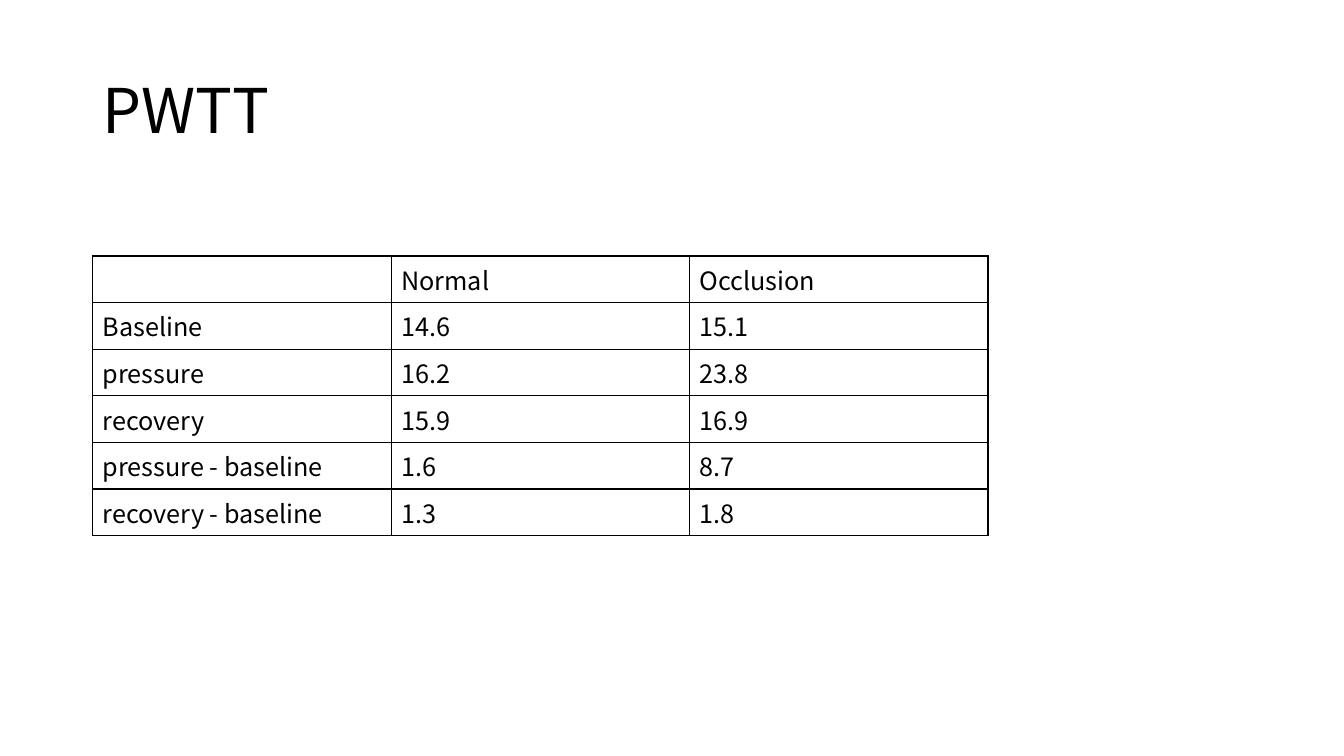
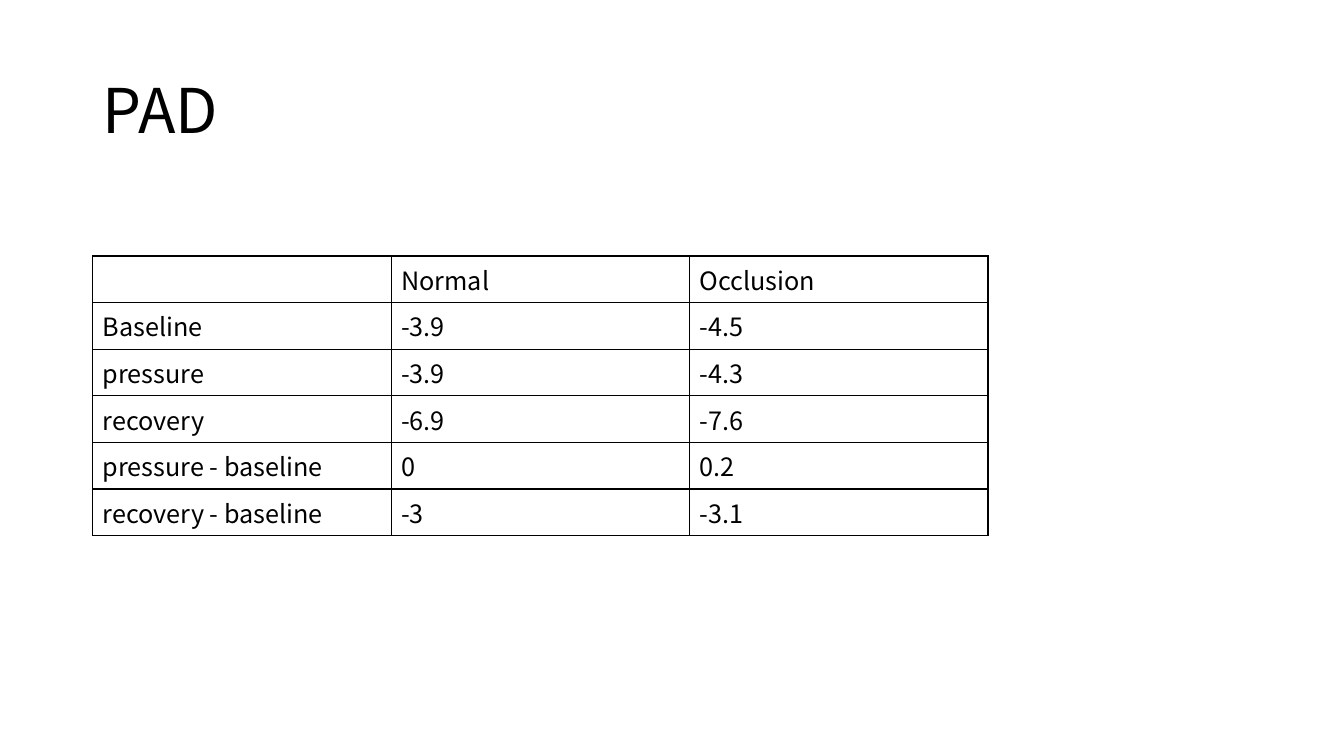
import pptx
import pptx.util
import pptx.dml.color
import pptx.enum.text
import pptx.oxml
import pptx.oxml.ns

Inches, Pt = pptx.util.Inches, pptx.util.Pt
BLACK = pptx.dml.color.RGBColor(0x00, 0x00, 0x00)
FONT = "Noto Sans CJK KR"
TITLE_FORMAT = {"name": FONT, "size": Pt(44), "bold": False}
CELL_FORMAT = {"name": FONT, "size": Pt(18), "bold": False}

CONDITIONS = ["", "Normal", "Occlusion"]
PHASES = ["Baseline", "pressure", "recovery", "pressure - baseline", "recovery - baseline"]
MEASURES = {
    "PWTT": [("14.6", "15.1"), ("16.2", "23.8"), ("15.9", "16.9"), ("1.6", "8.7"), ("1.3", "1.8")],
    "PAD": [("-3.9", "-4.5"), ("-3.9", "-4.3"), ("-6.9", "-7.6"), ("0", "0.2"), ("-3", "-3.1")],
}

LEFT = Inches(0.92)
TITLE_PLACE = {"left": LEFT, "top": Inches(0.4), "width": Inches(11.5), "height": Inches(1.45)}
TABLE_TOP = Inches(2.54)
COLUMN_WIDTH, ROW_HEIGHT = Inches(2.96), Inches(0.46)
BORDER_WIDTH = Pt(1)


def apply(target, values):
    for attribute, value in values.items():
        setattr(target, attribute, value)


def write(paragraph, text, font_format):
    run = paragraph.add_run()
    run.text = text
    apply(run.font, font_format)
    run.font.color.rgb = BLACK


def add_borders(cell):
    properties = cell._tc.get_or_add_tcPr()
    for side in "LRTB":
        properties.append(pptx.oxml.parse_xml(
            f'<a:ln{side} {pptx.oxml.ns.nsdecls("a")} w="{BORDER_WIDTH}">'
            f'<a:solidFill><a:srgbClr val="{BLACK}"/></a:solidFill></a:ln{side}>'))


def add_title(slide, measure):
    title = slide.shapes.title
    apply(title, TITLE_PLACE)
    apply(title.text_frame, {
        "word_wrap": True,
        "auto_size": pptx.enum.text.MSO_AUTO_SIZE.NONE,
        "vertical_anchor": pptx.enum.text.MSO_ANCHOR.MIDDLE,
    })
    paragraph = title.text_frame.paragraphs[0]
    apply(paragraph, {"alignment": pptx.enum.text.PP_ALIGN.LEFT, "line_spacing": 0.9})
    write(paragraph, measure, TITLE_FORMAT)


def add_results(slide, values):
    rows = [CONDITIONS] + [[phase, *pair] for phase, pair in zip(PHASES, values)]
    table = slide.shapes.add_table(
        len(rows), len(CONDITIONS), LEFT, TABLE_TOP,
        COLUMN_WIDTH * len(CONDITIONS), ROW_HEIGHT * len(rows)).table
    apply(table, {"first_row": False, "horz_banding": False})
    for row_index, row in enumerate(rows):
        for column_index, text in enumerate(row):
            cell = table.cell(row_index, column_index)
            add_borders(cell)
            cell.fill.background()
            if text:
                write(cell.text_frame.paragraphs[0], text, CELL_FORMAT)


def main():
    deck = pptx.Presentation()
    apply(deck, {"slide_width": Inches(13.33), "slide_height": Inches(7.5)})
    title_only = deck.slide_layouts.get_by_name("Title Only")
    for measure, values in MEASURES.items():
        slide = deck.slides.add_slide(title_only)
        add_title(slide, measure)
        add_results(slide, values)
    deck.save("out.pptx")


if __name__ == "__main__":
    main()
